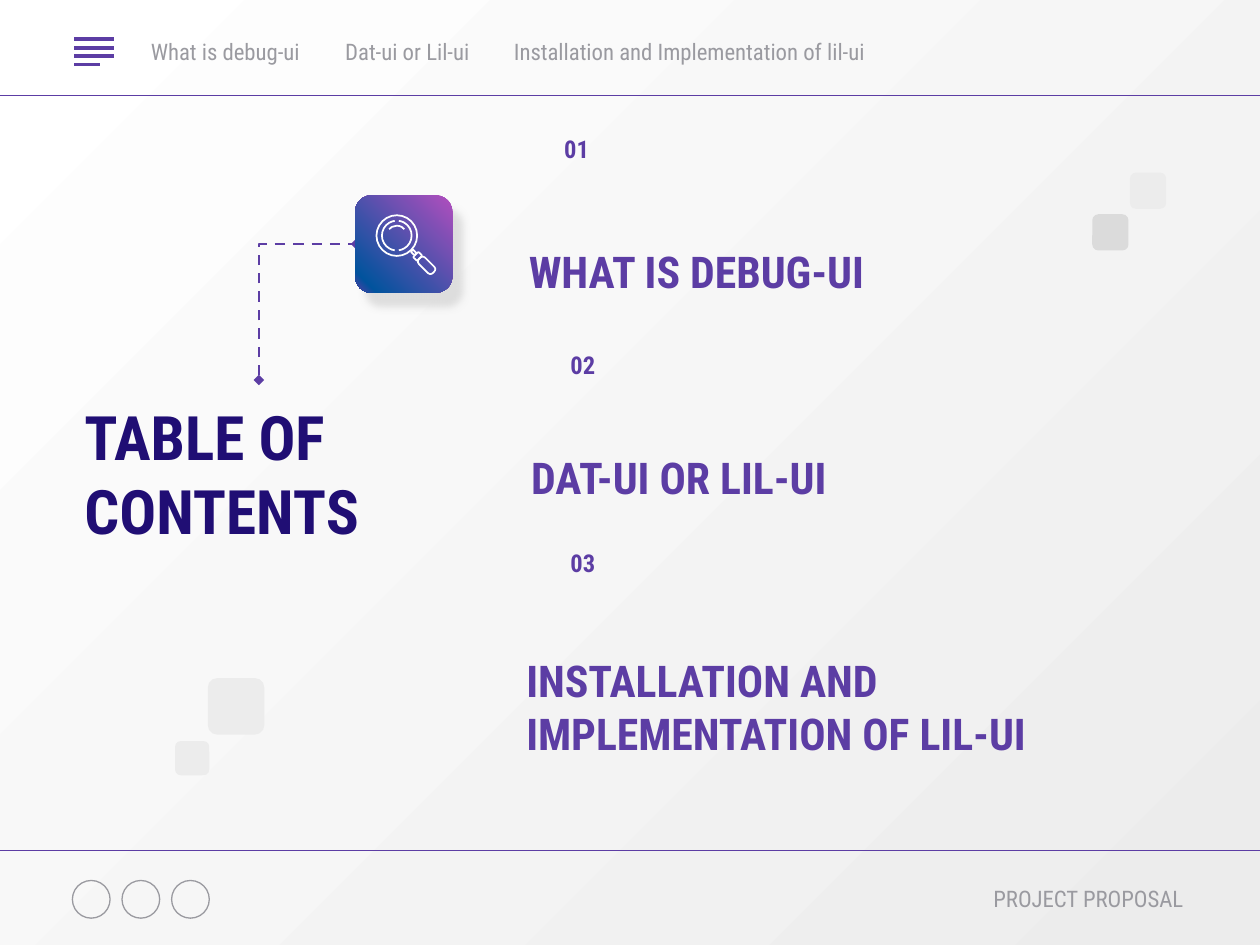
from copy import deepcopy

from lxml import etree
from pptx import Presentation
from pptx.dml.color import RGBColor
from pptx.enum import dml, shapes, text
from pptx.oxml import ns
from pptx.util import Cm, Pt

FONT = "Roboto Condensed"
PURPLE, NAVY, GREY = "5C3DA4", "200E74", "9A9AA0"
PALE, MID, WHITE = "ECECEC", "DBDBDB", "FFFFFF"
AUTO = shapes.MSO_SHAPE


def rgb(color):
    return RGBColor.from_string(color)


def add_xml(parent, tag, **attrs):
    return etree.SubElement(parent, ns.qn(tag), attrs)


def set_gradient(fill, stops, angle):
    """Stops are (position in percent, colour); the angle is counter-clockwise."""
    fill.gradient()
    fill.gradient_angle = angle
    gs_list = fill.gradient_stops[0]._gs.getparent()
    while len(gs_list) < len(stops):
        gs_list.append(deepcopy(gs_list[-1]))
    for stop, (position, color) in zip(fill.gradient_stops, stops):
        stop.position = position / 100
        stop.color.rgb = rgb(color)


def write(sp, content, size=13, color=GREY, bold=False, align="LEFT",
          anchor="MIDDLE", inset=0.25):
    tf = sp.text_frame
    tf.word_wrap = True
    tf.auto_size = text.MSO_AUTO_SIZE.NONE
    tf.vertical_anchor = getattr(text.MSO_ANCHOR, anchor)
    tf.margin_left = tf.margin_right = Cm(0.25)
    tf.margin_top = tf.margin_bottom = Cm(inset)
    p = tf.paragraphs[0]
    p.alignment = getattr(text.PP_ALIGN, align)
    p.line_spacing = 1.0
    r = p.add_run()
    r.text = content
    r.font.name, r.font.size, r.font.bold = FONT, Pt(size), bold
    r.font.color.rgb = rgb(color)


def add_text(slide, x, y, w, h, content, **fmt):
    sp = slide.shapes.add_textbox(Cm(x), Cm(y), Cm(w), Cm(h))
    write(sp, content, **fmt)


def add_shape(slide, kind, x, y, w, h, fill=None, line=None, width=0.75):
    sp = slide.shapes.add_shape(kind, Cm(x), Cm(y), Cm(w), Cm(h))
    sp.shadow.inherit = False
    if fill:
        sp.fill.solid()
        sp.fill.fore_color.rgb = rgb(fill)
    else:
        sp.fill.background()
    if line:
        sp.line.color.rgb = rgb(line)
        sp.line.width = Pt(width)
    else:
        sp.line.fill.background()
    return sp


def add_line(slide, x1, y1, x2, y2, width=0.75, kind="STRAIGHT"):
    cxn = slide.shapes.add_connector(getattr(shapes.MSO_CONNECTOR, kind),
                                     Cm(x1), Cm(y1), Cm(x2), Cm(y2))
    cxn.line.color.rgb = rgb(PURPLE)
    cxn.line.width = Pt(width)
    add_xml(cxn._element.spPr, "a:effectLst")
    return cxn


def header(slide, x, y, w, h):
    add_line(slide, x, y + h, x + w, y + h)
    # Menu icon: four bars, the last one shorter
    for i, length in enumerate((0.79, 0.79, 0.79, 0.51)):
        bar_y = y + 0.79 + i * 0.17
        add_line(slide, x + 1.5, bar_y, x + 1.5 + length, bar_y, width=2.25)
    # Navigation
    for left, width, label in (
            (2.79, 3.91, "What is debug-ui"),
            (6.71, 3.56, "Dat-ui or Lil-ui"),
            (10.11, 8.0, "Installation and Implementation of lil-ui")):
        add_text(slide, x + left, y + 0.48, width, 1.12, label)


def footer(slide, x, y, w):
    add_line(slide, x, y, x + w, y)
    # Plain rings for the social links
    for i in range(3):
        add_shape(slide, AUTO.OVAL, x + 1.46 + i, y + 0.6, 0.76, 0.76, line=GREY)
    add_text(slide, x + w - 7.65, y + 0.4, 6.35, 1.12, "PROJECT PROPOSAL", align="RIGHT")


def squares(slide, x, y, parts):
    for dx, dy, side, color in parts:
        add_shape(slide, AUTO.ROUNDED_RECTANGLE, x + dx, y + dy, side, side, fill=color)


def elbow(slide, x, y, w, h):
    """Dashed elbow, turned a quarter so that it rises and then runs right."""
    cxn = add_line(slide, x, y, x + w, y + h, width=1.5, kind="ELBOW")
    cxn.line.dash_style = dml.MSO_LINE.DASH
    sp_pr = cxn._element.spPr
    sp_pr.find(ns.qn("a:xfrm")).set("rot", str(270 * 60000))
    sp_pr.find(ns.qn("a:prstGeom")).set("prst", "bentConnector2")
    ln = sp_pr.find(ns.qn("a:ln"))
    for end in ("a:headEnd", "a:tailEnd"):
        add_xml(ln, end, type="diamond")


def magnifier(slide, x, y):
    """Magnifier with its lens centred on x, y."""
    def arc(radius, start, end):
        sp = add_shape(slide, AUTO.ARC, x - radius, y - radius, 2 * radius, 2 * radius,
                       line=WHITE, width=1)
        sp.adjustments[0], sp.adjustments[1] = start * 0.6, end * 0.6

    add_shape(slide, AUTO.OVAL, x - 0.41, y - 0.41, 0.82, 0.82, line=WHITE, width=1)
    arc(0.3, 278, 82)
    arc(0.3, 98, 262)
    arc(0.2, 220, 320)
    # Neck, collar and handle, all at 45 degrees
    for offset, length, thick in ((0.34, 0.1, 0.06), (0.42, 0.11, 0.15), (0.6, 0.4, 0.18)):
        sp = add_shape(slide, AUTO.ROUNDED_RECTANGLE, x + offset - length / 2,
                       y + offset - thick / 2, length, thick, line=WHITE, width=1)
        sp.rotation = 45
    sp.adjustments[0] = 0.4


def search_icon(slide, x, y, side):
    tile = add_shape(slide, AUTO.ROUNDED_RECTANGLE, x, y, side, side)
    set_gradient(tile.fill, [(0, "B24EBE"), (89, "01539D"), (100, PURPLE)], 225)
    effects = tile._element.spPr.find(ns.qn("a:effectLst"))
    shadow = add_xml(effects, "a:outerShdw", blurRad=str(Pt(4.5)), dist=str(Pt(9.8)),
                     dir=str(55 * 60000), algn="bl", rotWithShape="0")
    color = add_xml(shadow, "a:srgbClr", val="CCCCCC")
    add_xml(color, "a:alpha", val="60000")
    magnifier(slide, x + 0.84, y + 0.81)


def title_block(slide, x, y, w, h):
    title = slide.shapes.title
    title.left, title.top, title.width, title.height = Cm(x), Cm(y), Cm(w), Cm(h)
    write(title, "TABLE OF CONTENTS", size=35, color=NAVY, bold=True)
    elbow(slide, x + 3.38, y - 2.34, 2.74, 1.96)
    squares(slide, x, y, [(7.01, -2.8, 0.66, MID)])
    search_icon(slide, x + 5.71, y - 3.71, 1.96)


def contents(slide, x, y):
    entries = (  # number top and width, title offset, top and width
        ("01", 0, 2.01, "WHAT IS DEBUG-UI", 0.05, 2.15, 7.9),
        ("02", 4.36, 2.26, "DAT-UI OR LIL-UI", 0.1, 6.32, 7.29),
        ("03", 8.35, 2.26, "INSTALLATION AND IMPLEMENTATION OF LIL-UI", 0, 10.94, 13.74))
    for number, top, width, label, dx, label_top, label_width in entries:
        add_text(slide, x + 0.26, y + top, width, 1.8, number, size=14, color=PURPLE,
                 bold=True, align="CENTER", anchor="TOP", inset=0.13)
        add_text(slide, x + dx, y + label_top, label_width, 1.47, label,
                 size=25, color=PURPLE, bold=True)


def main():
    prs = Presentation()
    prs.slide_width, prs.slide_height = Cm(25.4), Cm(19.05)
    slide = prs.slides.add_slide(prs.slide_layouts[5])
    set_gradient(slide.background.fill, [(0, WHITE), (100, PALE)], 315)

    header(slide, 0, 0, 25.4, 1.93)
    footer(slide, 0, 17.15, 25.4)
    title_block(slide, 1.45, 7.65, 7.57, 3.76)
    contents(slide, 10.36, 2.57)
    # Decorative squares
    squares(slide, 22.02, 3.48, [(0, 0.84, 0.73, MID), (0.76, 0, 0.73, PALE)])
    squares(slide, 3.53, 13.67, [(0.66, 0, 1.14, PALE), (0, 1.27, 0.69, PALE)])
    prs.save("out.pptx")


if __name__ == "__main__":
    main()
